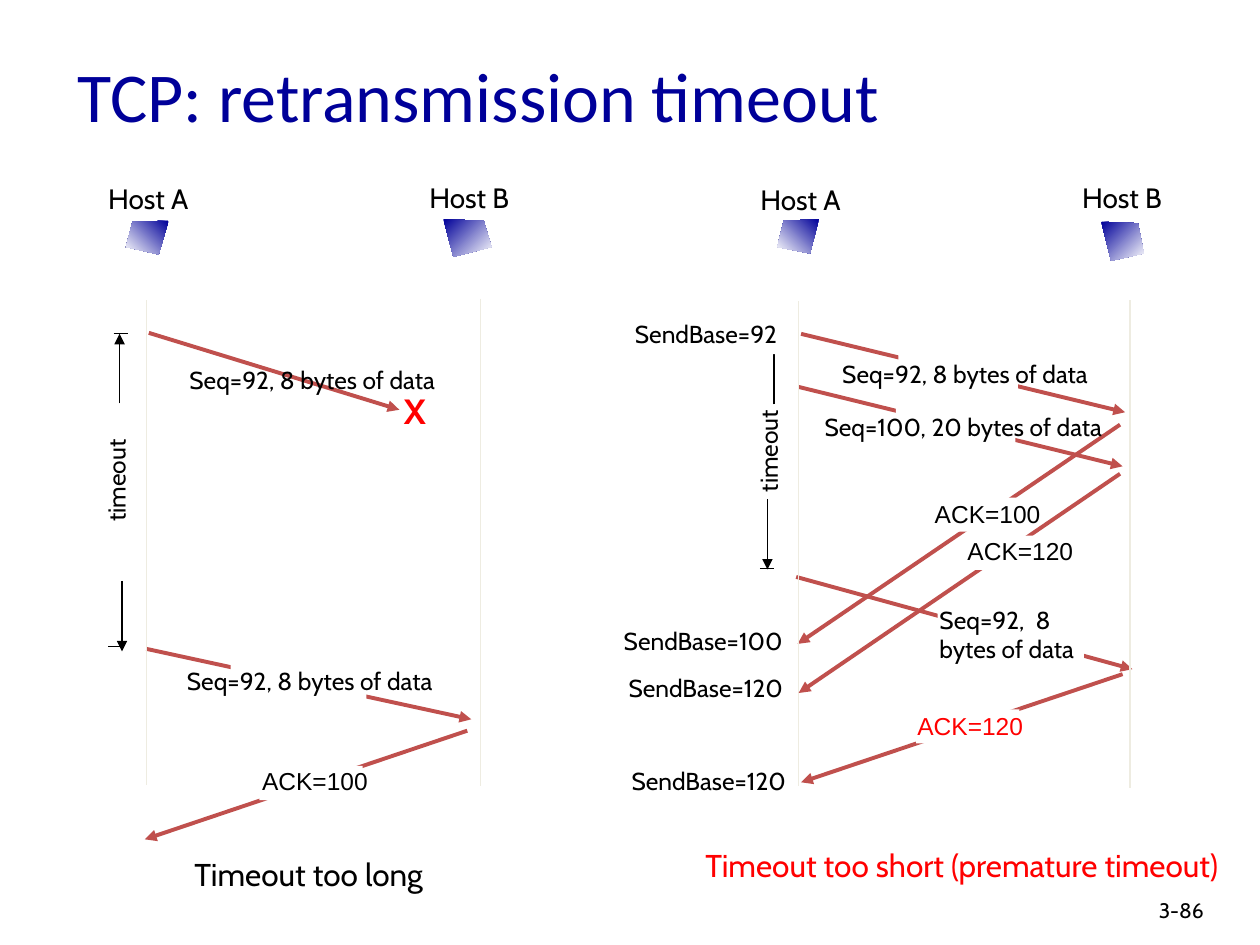
from lxml.etree import SubElement
from pptx import Presentation
from pptx.dml.color import RGBColor
from pptx.enum.shapes import MSO_CONNECTOR, MSO_SHAPE
from pptx.enum.text import MSO_ANCHOR, MSO_AUTO_SIZE, PP_ALIGN
from pptx.oxml.ns import qn
from pptx.util import Cm, Pt

BLACK, WHITE, RED, NAVY = "000000", "FFFFFF", "FF0000", "000099"
BRICK, PALE = "C0504D", "EEECE1"
SEQ = "Seq=92, 8 bytes of data"


def paint(target, color):
    target.rgb = RGBColor.from_string(color)


def fill(shape, color):
    shape.fill.solid()
    paint(shape.fill.fore_color, color)


def write(slide, words, left, top, wide, high, size=14, font="Cabin",
          color=BLACK, align=PP_ALIGN.CENTER, bold=False, wrap=False):
    box = slide.shapes.add_textbox(Cm(left), Cm(top), Cm(wide), Cm(high))
    frame = box.text_frame
    frame.word_wrap = wrap
    frame.auto_size = MSO_AUTO_SIZE.NONE if wrap else MSO_AUTO_SIZE.SHAPE_TO_FIT_TEXT
    for index, row in enumerate(words.split("\n")):
        para = frame.add_paragraph() if index else frame.paragraphs[0]
        para.alignment = align
        run = para.add_run()
        run.text = row
        run.font.name = font
        run.font.size = Pt(size)
        run.font.bold = bold
        paint(run.font.color, color)
    return box


def upright(slide, words, left, top):
    box = write(slide, words, left, top, 1.09, 1.91)
    box.rotation = 180
    box.text_frame._txBody.bodyPr.set("vert", "eaVert")


def line(slide, x1, y1, x2, y2, color=BLACK, width=0.75, head=False):
    link = slide.shapes.add_connector(
        MSO_CONNECTOR.STRAIGHT, Cm(x1), Cm(y1), Cm(x2), Cm(y2))
    paint(link.line.color, color)
    link.line.width = Pt(width)
    if head:
        SubElement(link.line._get_or_add_ln(), qn("a:tailEnd"), type="triangle")
    SubElement(link._element.spPr, qn("a:effectLst"))


def message(slide, *ends):
    line(slide, *ends, color=BRICK, width=2.25, head=True)


def mask(slide, left, top, wide, high):
    block = slide.shapes.add_shape(
        MSO_SHAPE.RECTANGLE, Cm(left), Cm(top), Cm(wide), Cm(high))
    block.shadow.inherit = False
    block.line.fill.background()
    fill(block, WHITE)


def host(slide, angle, points):
    first, *rest = [(Cm(x), Cm(y)) for x, y in points]
    pen = slide.shapes.build_freeform(*first)
    pen.add_line_segments(rest, close=True)
    shape = pen.convert_to_shape()
    shape.shadow.inherit = False
    shape.line.fill.background()
    shape.fill.gradient()
    shape.fill.gradient_angle = angle
    for stop, color in zip(shape.fill.gradient_stops, (NAVY, WHITE)):
        paint(stop.color, color)


def draw_lines(slide):
    for ends in [
        (2.95, 13.08, 9.5, 14.5), (3, 6.71, 8.05, 8.26),
        (9.42, 14.73, 2.92, 16.92), (16.05, 11.63, 22.83, 13.49),
        (16.15, 6.73, 22.68, 8.31), (22.58, 8.56, 16.08, 12.98),
        (22.63, 13.59, 16.15, 15.77), (16.1, 7.8, 22.63, 9.4),
    ]:
        message(slide, *ends)
    for x, top, end in [(2.95, 6.05, 15.82), (9.68, 6.02, 15.85),
                        (16.1, 6.07, 15.85), (22.78, 6.05, 15.88)]:
        line(slide, x, top, x, end, PALE)
    for x, start, end in [(2.41, 8.13, 6.73), (2.46, 11.71, 13.13),
                          (15.6, 8.15, 6.73), (15.47, 10.06, 11.48)]:
        line(slide, x, start, x, end, head=True)
    for left, right, y in [(2.29, 2.59, 6.73), (2.18, 2.49, 13.03),
                           (15.32, 15.6, 11.46)]:
        line(slide, left, y, right, y)


def draw_masks(slide):
    for left, top in [(6.53, 8.79), (5.23, 15.44), (18.8, 10.03), (18.47, 14.3)]:
        mask(slide, left, top, 2.08, 0.69)
    for left, top in [(18.11, 6.96), (18.06, 8.03)]:
        mask(slide, left, top, 2.41, 1.12)
    mask(slide, 4.65, 13.08, 2.74, 1.19)
    mask(slide, 18.9, 11.96, 2.95, 1.42)
    message(slide, 22.58, 9.55, 16.1, 13.97)
    mask(slide, 19.48, 10.8, 2.08, 0.69)


def draw_labels(slide):
    for left, top in [(3.4, 7.24), (3.35, 13.31), (16.56, 7.11)]:
        write(slide, SEQ, left, top, 5.79, 0.84)
    write(slide, "Seq=100, 20 bytes of data", 16.26, 8.18, 6.32, 0.84)
    write(slide, "Seq=92,  8\nbytes of data", 18.69, 12.07, 3.38, 1.45,
          align=PP_ALIGN.LEFT)
    for words, left, top, color in [
        ("ACK=100", 5.03, 15.32, BLACK), ("ACK=100", 18.59, 9.93, BLACK),
        ("ACK=120", 19.25, 10.69, BLACK), ("ACK=120", 18.24, 14.2, RED),
    ]:
        write(slide, words, left, top, 2.64, 0.84, font="Arial", color=color)
    for count, left, top in [(100, 12.29, 12.5), (120, 12.34, 13.44),
                             (120, 12.4, 15.32)]:
        write(slide, f"SendBase={count}", left, top, 3.78, 0.84)
    fill(write(slide, "SendBase=92", 12.47, 6.3, 3.53, 0.84), WHITE)
    upright(slide, "timeout", 1.91, 8.86)
    upright(slide, "timeout", 15.06, 8.26)
    write(slide, "X", 7.87, 7.72, 0.99, 1.09, 20, color=RED, bold=True)
    write(slide, "Timeout too long", 3.56, 17.12, 5.33, 1.02, 18)
    write(slide, "Timeout too short (premature timeout)",
          13.61, 16.94, 11.56, 1.02, 18, color=RED)


def draw_hosts(slide):
    for name, left, top, angle, points in [
        ("Host A", 1.91, 3.53, 225,
         [(3.4, 4.45), (2.67, 4.47), (2.54, 4.98), (3.2, 5.13)]),
        ("Host B", 8.38, 3.51, 315,
         [(8.94, 4.42), (9.75, 4.45), (9.91, 4.98), (9.14, 5.18)]),
        ("Host A", 15.06, 3.56, 225,
         [(16.51, 4.42), (15.8, 4.45), (15.67, 4.98), (16.33, 5.11)]),
        ("Host B", 21.54, 3.51, 315,
         [(22.2, 4.47), (22.94, 4.5), (23.06, 5.11), (22.4, 5.26)]),
    ]:
        write(slide, name, left, top, 2.16, 0.94, 16)
        host(slide, angle, points)


def main():
    deck = Presentation()
    deck.slide_width, deck.slide_height = Cm(25.4), Cm(19.05)
    slide = deck.slides.add_slide(deck.slide_layouts[6])
    title = write(slide, "TCP: retransmission timeout", 1.32, 0.66, 21.59, 2.51,
                  40, "Calibri", NAVY, PP_ALIGN.LEFT, wrap=True)
    title.text_frame.vertical_anchor = MSO_ANCHOR.MIDDLE
    write(slide, "3-86", 23.11, 17.96, 1.88, 0.76, 12,
          align=PP_ALIGN.LEFT, wrap=True)
    draw_lines(slide)
    draw_masks(slide)
    draw_labels(slide)
    draw_hosts(slide)
    deck.save("out.pptx")


if __name__ == "__main__":
    main()
